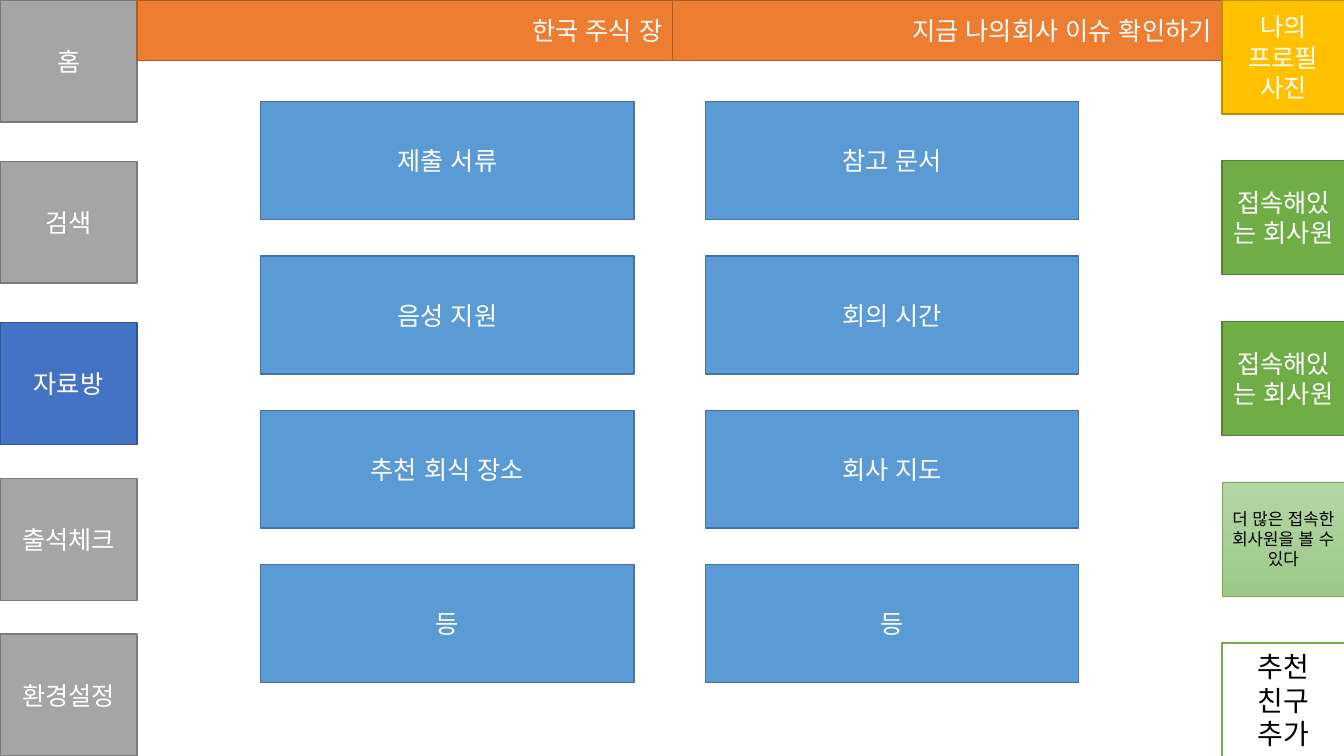
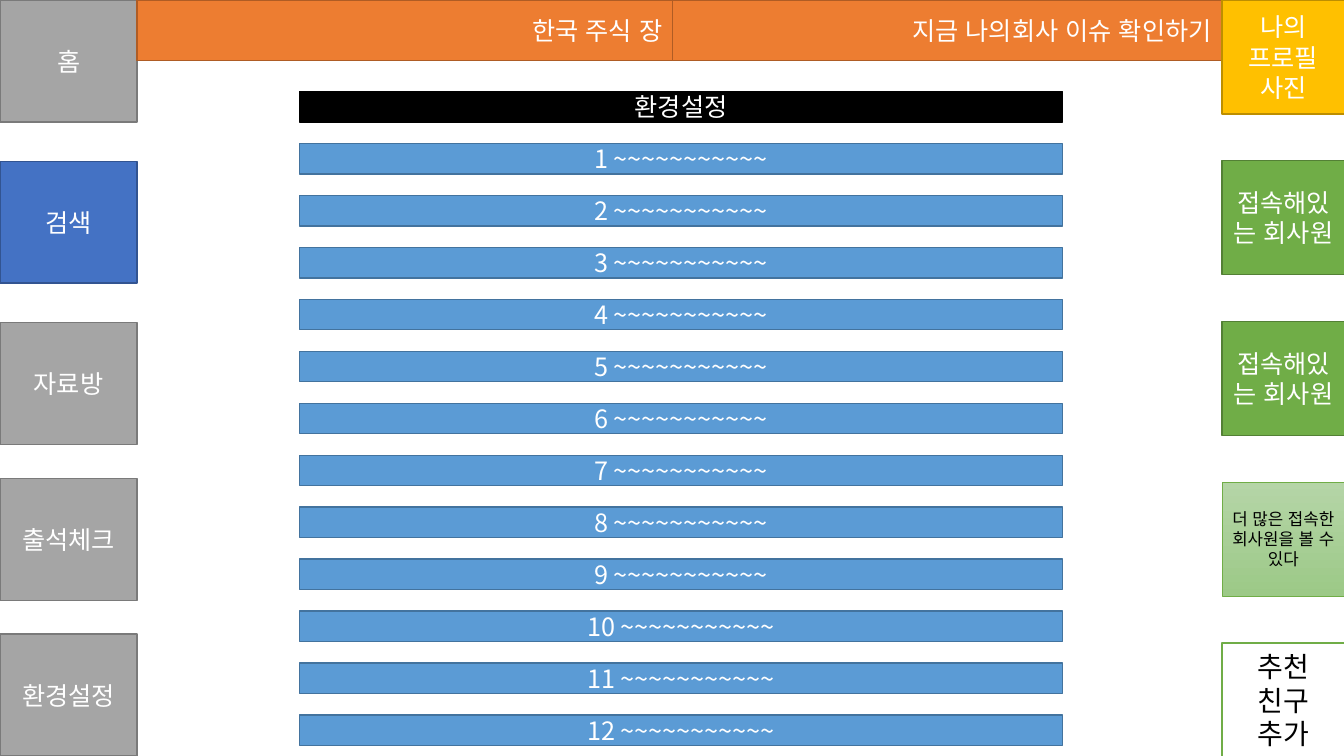
"""Builds two screens of a company portal that share navigation, banners and a people column."""
from dataclasses import dataclass, field

from lxml import etree
from pptx import Presentation
from pptx import util as u
from pptx.dml.color import RGBColor
from pptx.enum import lang, text
from pptx.enum.shapes import MSO_SHAPE
from pptx.oxml.ns import qn


@dataclass(frozen=True)
class Style:
    """Fill colours (two make a vertical gradient) and outline, with text format."""
    fill: tuple[str, ...]
    line: str
    color: str = "FFFFFF"
    size: float = 18
    weight: float = 1
    align: text.PP_ALIGN = text.PP_ALIGN.CENTER


@dataclass(frozen=True)
class Theme:
    """Colours and type of the whole presentation."""
    font: str = "Noto Sans CJK KR"
    nav: Style = Style(("A5A5A5",), "7A7A7A")
    active: Style = Style(("4472C4",), "325491")
    banner: Style = Style(("ED7D31",), "AF5C24", align=text.PP_ALIGN.RIGHT)
    profile: Style = Style(("FFC000",), "BD8E00")
    member: Style = Style(("70AD47",), "538035")
    more: Style = Style(("B5D5A7", "9CC987"), "70AD47", "000000", 12, 0.5)
    invite: Style = Style(("FFFFFF",), "70AD47", "000000", 20)
    content: Style = Style(("5B9BD5",), "43739E")
    heading: Style = Style(("000000",), "000000")


@dataclass(frozen=True)
class Box:
    """A rectangle in points with its text and style."""
    left: float
    top: float
    width: float
    height: float
    label: str
    style: Style = field(default=Theme.content)


THEME = Theme()
NAV = (("홈", 0), ("검색", 115.2), ("자료방", 230.4), ("출석체크", 342), ("환경설정", 452.9))
BANNERS = (("한국 주식 장", 98, 382.2), ("지금 나의회사 이슈 확인하기", 480.2, 392.4))
PEOPLE = (
    ("나의 프로필 사진", THEME.profile),
    ("접속해있는 회사원", THEME.member),
    ("접속해있는 회사원", THEME.member),
    ("더 많은 접속한 회사원을 볼 수 있다", THEME.more),
    ("추천 친구 추가", THEME.invite),
)
CARDS = (
    ("제출 서류", "참고 문서"),
    ("음성 지원", "회의 시간"),
    ("추천 회식 장소", "회사 지도"),
    ("등", "등"),
)
LIST_TOP, LIST_PITCH, LIST_COUNT = 65.5, 37.1, 12


def list_box(index: int, label: str, style: Style) -> Box:
    """Places one bar of the settings list."""
    return Box(214, LIST_TOP + index * LIST_PITCH, 545, 21.7, label, style)


def apply(target, values: dict) -> None:
    """Sets each named attribute."""
    for name, value in values.items():
        setattr(target, name, value)


def paint(sp, style: Style) -> None:
    """Fills and outlines a shape."""
    if len(style.fill) == 1:
        sp.fill.solid()
        sp.fill.fore_color.rgb = RGBColor.from_string(style.fill[0])
    else:
        sp.fill.gradient()
        sp.fill.gradient_angle = 270
        for stop, color in zip(sp.fill.gradient_stops, style.fill):
            stop.color.rgb = RGBColor.from_string(color)
    sp.line.color.rgb = RGBColor.from_string(style.line)
    sp.line.width = u.Pt(style.weight)


def write(sp, label: str, style: Style) -> None:
    """Writes the label in the theme font."""
    tf = sp.text_frame
    apply(tf, {"word_wrap": True, "auto_size": text.MSO_AUTO_SIZE.NONE,
               "vertical_anchor": text.MSO_ANCHOR.MIDDLE})
    p = tf.paragraphs[0]
    p.alignment = style.align
    r = p.add_run()
    r.text = label
    apply(r.font, {"size": u.Pt(style.size), "name": THEME.font,
                   "language_id": lang.MSO_LANGUAGE_ID.KOREAN})
    r.font.color.rgb = RGBColor.from_string(style.color)
    latin = r.font._element.find(qn("a:latin"))
    ea = etree.Element(qn("a:ea"), typeface=THEME.font)
    latin.addnext(ea)


def draw(s, box: Box, sp=None) -> None:
    """Draws a box as a new rectangle or in a given placeholder."""
    if sp is None:
        sp = s.shapes.add_shape(MSO_SHAPE.RECTANGLE, 0, 0, 0, 0)
        sp.shadow.inherit = False
    apply(sp, {name: u.Pt(getattr(box, name)) for name in ("left", "top", "width", "height")})
    paint(sp, box.style)
    write(sp, box.label, box.style)


def draw_frame(s, active: str) -> None:
    """Draws the shared parts, with one navigation button active."""
    boxes = [Box(0, top, 98, 87.1, label, THEME.active if label == active else THEME.nav)
             for label, top in NAV]
    boxes += [Box(left, 0, width, 43.4, label, THEME.banner) for label, left, width in BANNERS]
    boxes += [Box(872.8, i * 114.8, 87.8, 81.4, label, style)
              for i, (label, style) in enumerate(PEOPLE)]
    for box in boxes:
        draw(s, box)


def build_library(prs) -> None:
    """Builds the document library screen."""
    s = prs.slides.add_slide(prs.slide_layouts[6])
    draw_frame(s, "자료방")
    for row, labels in enumerate(CARDS):
        for col, label in enumerate(labels):
            draw(s, Box(186.2 + col * 317.8, 72.7 + row * 110.2, 266.6, 84.2, label))


def build_settings(prs) -> None:
    """Builds the settings list screen."""
    s = prs.slides.add_slide(prs.slide_layouts[5])
    draw_frame(s, "검색")
    draw(s, list_box(0, "환경설정", THEME.heading), s.shapes.title)
    for i in range(1, LIST_COUNT + 1):
        draw(s, list_box(i, f"{i} {'~' * 11}", THEME.content))


def main() -> None:
    """Builds and saves the presentation."""
    prs = Presentation()
    apply(prs, {"slide_width": u.Pt(960), "slide_height": u.Pt(540)})
    build_library(prs)
    build_settings(prs)
    prs.save("out.pptx")


main()
